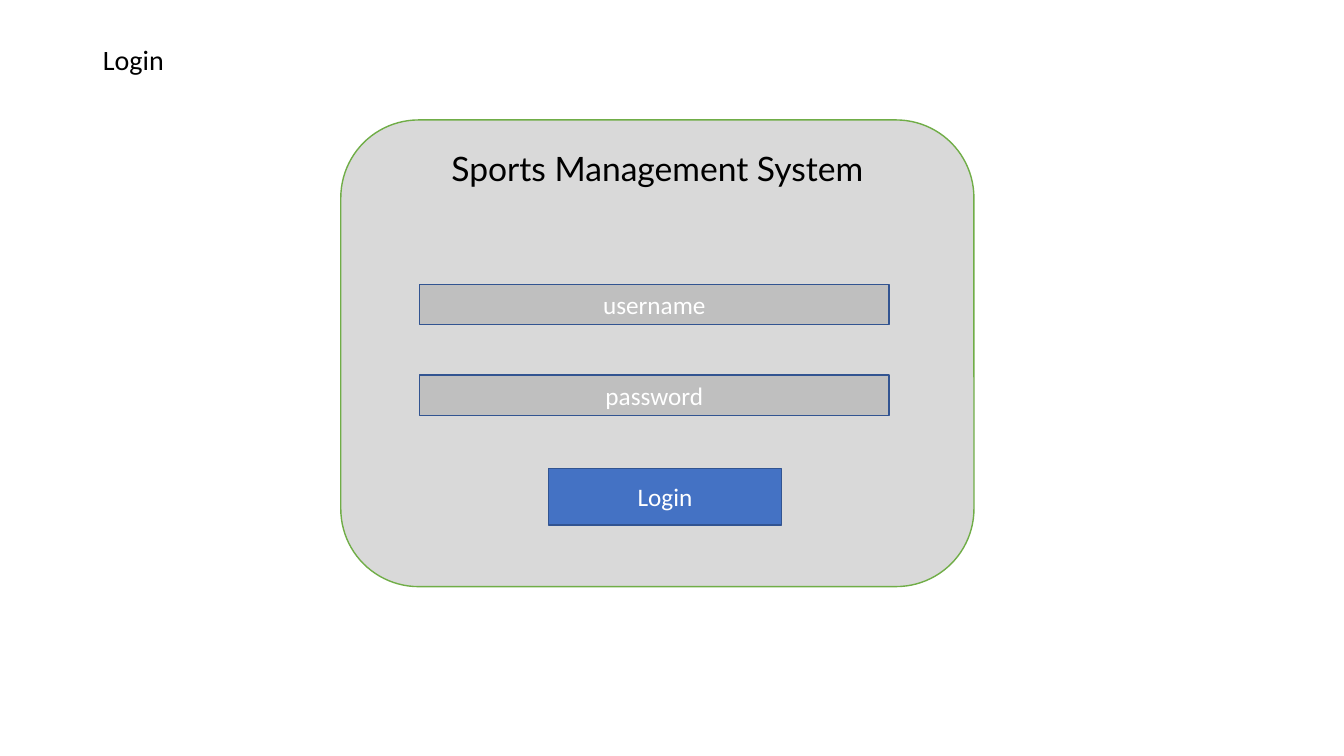
from dataclasses import dataclass

from pptx import Presentation
from pptx.dml.color import RGBColor
from pptx.enum.shapes import MSO_SHAPE
from pptx.enum.text import MSO_ANCHOR, MSO_AUTO_SIZE, PP_ALIGN
from pptx.util import Inches, Pt


@dataclass(frozen=True)
class Theme:
    ink: str = "000000"
    light: str = "FFFFFF"
    panel: str = "D9D9D9"
    panel_edge: str = "70AD47"
    field: str = "BFBFBF"
    button: str = "4472C4"
    control_edge: str = "325491"
    font: str = "Calibri"
    heading_font: str = "Lato"
    title_size: int = 20
    heading_size: int = 24
    control_size: int = 18


THEME = Theme()


def write(frame, text, size, color, font=THEME.font, align=PP_ALIGN.CENTER):
    frame.word_wrap = True
    paragraph = frame.paragraphs[0]
    paragraph.alignment = align
    run = paragraph.add_run()
    run.text = text
    run.font.size = Pt(size)
    run.font.name = font
    run.font.color.rgb = RGBColor.from_string(color)
    return paragraph


def add_block(slide, preset, box, fill, edge):
    block = slide.shapes.add_shape(preset, *map(Inches, box))
    block.shadow.inherit = False
    block.fill.solid()
    block.fill.fore_color.rgb = RGBColor.from_string(fill)
    block.line.color.rgb = RGBColor.from_string(edge)
    block.line.width = Pt(1)
    return block


def add_control(slide, box, label, fill):
    control = add_block(slide, MSO_SHAPE.RECTANGLE, box, fill, THEME.control_edge)
    control.text_frame.vertical_anchor = MSO_ANCHOR.MIDDLE
    write(control.text_frame, label, THEME.control_size, THEME.light)


def place_title(slide, box, text):
    title = slide.shapes.title
    title.left, title.top, title.width, title.height = map(Inches, box)
    frame = title.text_frame
    frame.auto_size = MSO_AUTO_SIZE.NONE
    frame.vertical_anchor = MSO_ANCHOR.MIDDLE
    paragraph = write(frame, text, THEME.title_size, THEME.ink, align=PP_ALIGN.LEFT)
    paragraph.line_spacing = 0.9


def add_login_panel(slide, box, heading, fields, action):
    left, top, width, height = box
    add_block(slide, MSO_SHAPE.ROUNDED_RECTANGLE, box, THEME.panel, THEME.panel_edge)

    heading_box = (left + 0.08, top + 0.23, width - 0.16, 0.5)
    system_name = slide.shapes.add_textbox(*map(Inches, heading_box))
    write(system_name.text_frame, heading, THEME.heading_size, THEME.ink, THEME.heading_font)
    system_name.text_frame.auto_size = MSO_AUTO_SIZE.SHAPE_TO_FIT_TEXT

    for row, label in enumerate(fields):
        field_box = (left + 0.78, top + 1.63 + row * 0.9, 4.66, 0.4)
        add_control(slide, field_box, label, THEME.field)

    add_control(slide, (left + 2.06, top + 3.46, 2.31, 0.56), action, THEME.button)


def main():
    deck = Presentation()
    deck.slide_width, deck.slide_height = Inches(13.33), Inches(7.5)
    slide = deck.slides.add_slide(deck.slide_layouts[5])
    place_title(slide, (0.92, 0.4, 11.5, 0.42), "Login")
    add_login_panel(
        slide,
        (3.38, 1.19, 6.28, 4.63),
        "Sports Management System",
        ["username", "password"],
        "Login",
    )
    deck.save("out.pptx")


if __name__ == "__main__":
    main()
